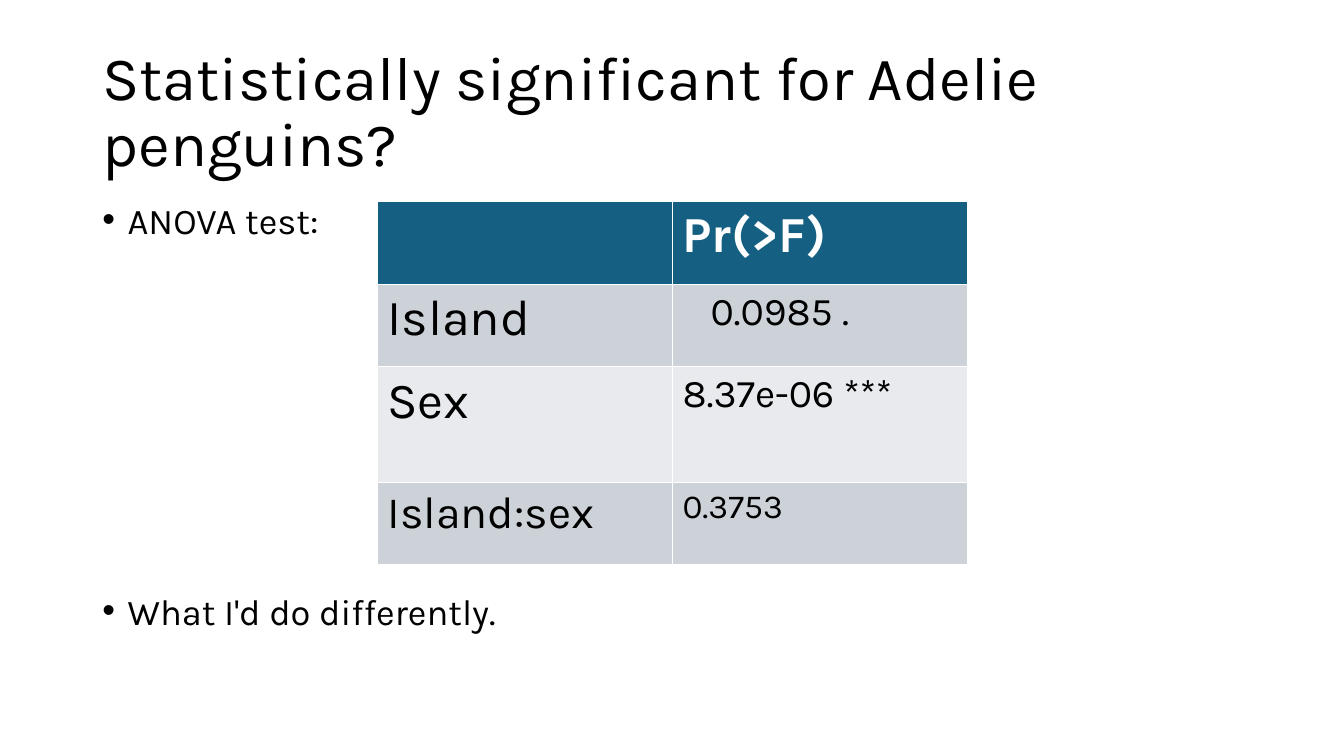
"""Build the slide on the ANOVA test for Adelie penguins."""
from pptx import Presentation
from pptx.dml.color import RGBColor as RGB
from pptx.enum.text import MSO_ANCHOR as Anchor, MSO_AUTO_SIZE as AutoSize, PP_ALIGN as Align
from pptx.util import Pt

BLACK = RGB(0x00, 0x00, 0x00)
WHITE = RGB(0xFF, 0xFF, 0xFF)
TEAL = RGB(0x15, 0x60, 0x82)
GREY = RGB(0xCC, 0xD2, 0xD8)
PALE = RGB(0xE8, 0xEA, 0xED)


def write(p, text, size, font="Karla", color=BLACK, bold=False, line=1.0, before=0):
    """Fill a paragraph with one formatted run."""
    p.alignment = Align.LEFT
    p.line_spacing = line
    p.space_before = Pt(before)
    r = p.add_run()
    r.text = text
    r.font.name = font
    r.font.size = Pt(size)
    r.font.bold = bold
    r.font.color.rgb = color


class Deck:
    """Hold the text style and the current slide."""

    def __init__(self, prs):
        """Add a title-and-body slide."""
        self.s = prs.slides.add_slide(prs.slide_layouts[1])

    def place(self, sp, box, anchor):
        """Move a placeholder and return its text frame."""
        sp.left, sp.top, sp.width, sp.height = map(Pt, box)
        tf = sp.text_frame
        tf.word_wrap = True
        tf.auto_size = AutoSize.NONE
        tf.vertical_anchor = anchor
        return tf

    def title(self, text, box):
        """Write the title."""
        tf = self.place(self.s.shapes.title, box, Anchor.MIDDLE)
        write(tf.paragraphs[0], text, 44, line=0.9)

    def bullets(self, items, box, gap):
        """Write the bulleted list with a gap between its items."""
        tf = self.place(self.s.placeholders[1], box, Anchor.TOP)
        for i, text in enumerate(items):
            p = tf.add_paragraph() if i else tf.paragraphs[0]
            pPr = p._p.get_or_add_pPr()
            pPr.set("marL", str(Pt(18)))
            pPr.set("indent", str(Pt(-18)))
            write(p, text, 25.9, line=0.8, before=gap if i else 0)

    def table(self, rows, box, heights):
        """Draw a banded table from rows of (text, size, indent) cells."""
        tbl = self.s.shapes.add_table(len(rows), len(rows[0]), *map(Pt, box)).table
        for i, (row, height) in enumerate(zip(rows, heights)):
            tbl.rows[i].height = Pt(height)
            for j, (text, size, indent) in enumerate(row):
                cell = tbl.cell(i, j)
                cell.fill.solid()
                cell.fill.fore_color.rgb = TEAL if i == 0 else (PALE, GREY)[i % 2]
                cell.margin_left = Pt(7.2 + indent)
                if text:
                    write(cell.text_frame.paragraphs[0], text, size,
                          color=BLACK if i else WHITE, bold=i == 0)


def main():
    """Build and save the slide."""
    prs = Presentation()
    prs.slide_width, prs.slide_height = Pt(960), Pt(540)
    deck = Deck(prs)
    deck.title("Statistically significant for Adelie penguins?", (66, 28.75, 828, 104.4))
    deck.bullets(["ANOVA test:", "What I'd do differently."], (66, 143.75, 828, 342.6), gap=254.4)
    deck.table([
        [("", 36, 0), ("Pr(>F)", 36, 0)],
        [("Island", 36, 0), ("0.0985 .", 28, 20)],
        [("Sex", 36, 0), ("8.37e-06 ***", 28, 0)],
        [("Island:sex", 32, 0), ("0.3753", 24, 0)],
    ], (269.6, 144, 421.5, 259.5), heights=(59, 59, 82.5, 59))
    prs.save("out.pptx")


if __name__ == "__main__":
    main()
